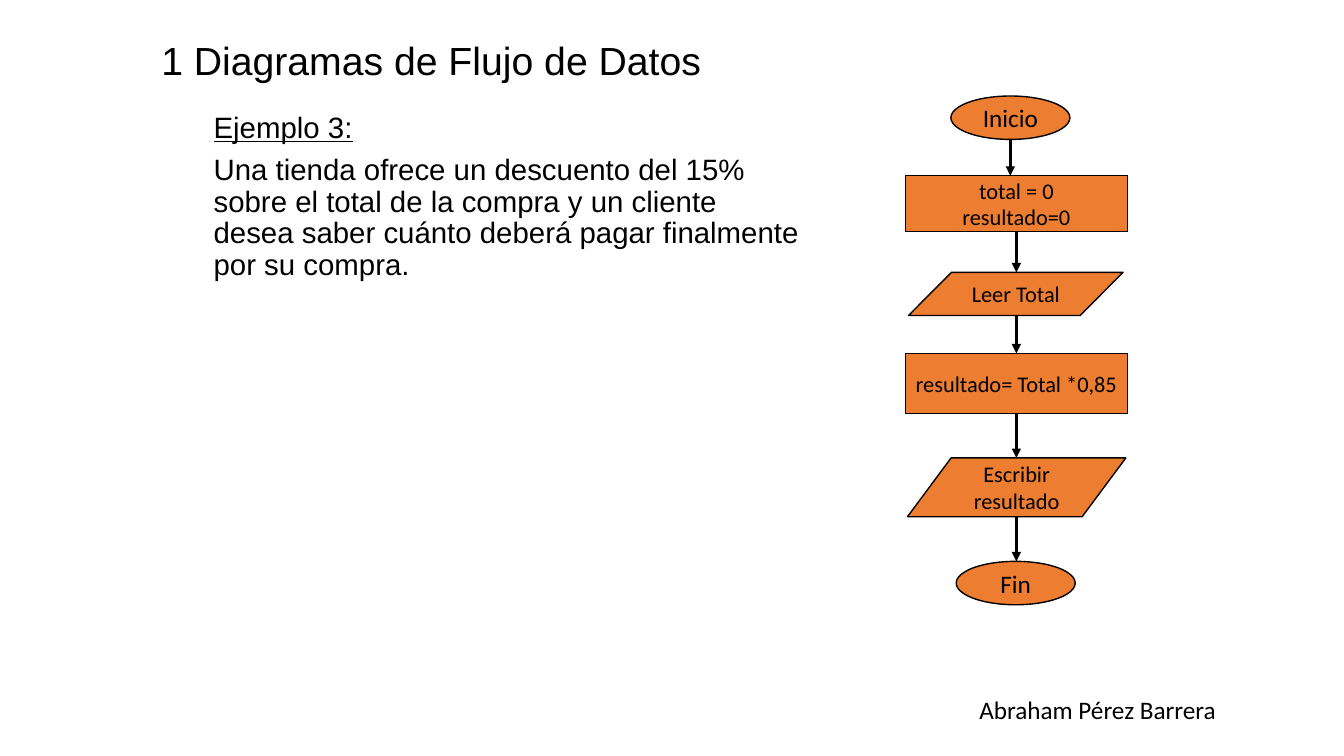
from lxml import etree
from pptx import Presentation
from pptx import util as u
from pptx.dml.color import RGBColor
from pptx.enum import shapes, text
from pptx.oxml.ns import qn

COLORS = {"ink": "000000", "box": "ED7D31", "paper": "FFFFFF"}
KIND = shapes.MSO_SHAPE
ALIGN = text.PP_ALIGN
ANCHOR = text.MSO_ANCHOR


class FlowSlide:
    def __init__(self, prs):
        self.s = prs.slides.add_slide(prs.slide_layouts[1])
        fill = self.s.background.fill
        fill.solid()
        fill.fore_color.rgb = self.color("paper")

    def color(self, name):
        return RGBColor.from_string(COLORS[name])

    def place(self, sp, box):
        for name, value in zip(("left", "top", "width", "height"), box):
            setattr(sp, name, u.Pt(value))

    def set_text(self, sp, lines, font, para, anchor):
        tf = sp.text_frame
        frame = {"word_wrap": True, "auto_size": text.MSO_AUTO_SIZE.NONE,
                 "vertical_anchor": anchor}
        for name, value in frame.items():
            setattr(tf, name, value)
        for i, line in enumerate(lines):
            p = tf.paragraphs[0] if i == 0 else tf.add_paragraph()
            for name, value in para.items():
                setattr(p, name, value)
            r = p.add_run()
            r.text = line
            for name, value in font.items():
                setattr(r.font, name, value)
            r.font.color.rgb = self.color("ink")
        return tf

    def title(self, line, box):
        sp = self.s.shapes.title
        self.place(sp, box)
        self.set_text(sp, [line], {"name": "Arial", "size": u.Pt(28)},
                      {"alignment": ALIGN.LEFT, "line_spacing": 0.9}, ANCHOR.MIDDLE)

    def body(self, lines, box):
        sp = self.s.placeholders[1]
        self.place(sp, box)
        tf = self.set_text(sp, lines, {"name": "Arial", "size": u.Pt(21)},
                           {"alignment": ALIGN.LEFT, "line_spacing": 0.9,
                            "space_before": u.Pt(7.5)}, ANCHOR.TOP)
        for p in tf.paragraphs:
            pPr = p._p.get_or_add_pPr()
            pPr.set("marL", "0")
            pPr.set("indent", "0")
            etree.SubElement(pPr, qn("a:buNone"))
        tf.paragraphs[0].runs[0].font.underline = True

    def label(self, line, box):
        sp = self.s.shapes.add_textbox(*map(u.Pt, box))
        self.set_text(sp, [line], {"name": "Calibri", "size": u.Pt(18)},
                      {"alignment": ALIGN.RIGHT}, ANCHOR.TOP)

    def node(self, kind, lines, size, box):
        sp = self.s.shapes.add_shape(kind, *map(u.Pt, box))
        sp.shadow.inherit = False
        sp.fill.solid()
        sp.fill.fore_color.rgb = self.color("box")
        sp.line.color.rgb = self.color("ink")
        sp.line.width = u.Pt(1)
        self.set_text(sp, lines, {"name": "Calibri", "size": u.Pt(size)},
                      {"alignment": ALIGN.CENTER}, ANCHOR.MIDDLE)
        return sp

    def arrow(self, x, above, below, joined):
        c = self.s.shapes.add_connector(
            shapes.MSO_CONNECTOR.STRAIGHT, u.Pt(x), above.top + above.height,
            u.Pt(x), below.top)
        if joined and above.auto_shape_type == KIND.FLOWCHART_PROCESS:
            c.begin_connect(above, 2)
        if joined and below.auto_shape_type == KIND.FLOWCHART_PROCESS:
            c.end_connect(below, 0)
        c.line.color.rgb = self.color("ink")
        c.line.width = u.Pt(2.25)
        ln = c._element.spPr.find(qn("a:ln"))
        etree.SubElement(ln, qn("a:tailEnd"), type="triangle")
        etree.SubElement(c._element.spPr, qn("a:effectLst"))


def main():
    prs = Presentation()
    prs.slide_width, prs.slide_height = u.Pt(960), u.Pt(540)
    slide = FlowSlide(prs)
    slide.label("Abraham Pérez Barrera", (530.6, 492.5, 345, 29))
    slide.body(["Ejemplo 3:",
                "Una tienda ofrece un descuento del 15% sobre el total de la compra "
                "y un cliente desea saber cuánto deberá pagar finalmente por su compra."],
               (145.4, 77, 436.3, 351.4))

    steps = [
        (KIND.OVAL, ["Inicio"], 18, (679.2, 68.6, 85, 31)),
        (KIND.FLOWCHART_PROCESS, ["total = 0", "resultado=0"], 16, (646.8, 125.5, 158.4, 39.8)),
        (KIND.FLOWCHART_DATA, ["Leer Total"], 16, (649, 194.5, 153.2, 30.8)),
        (KIND.FLOWCHART_PROCESS, ["resultado= Total *0,85"], 16, (646.8, 252.4, 158.4, 43)),
        (KIND.FLOWCHART_DATA, ["Escribir resultado"], 16, (648.2, 327.1, 156, 42)),
        (KIND.OVAL, ["Fin"], 18, (683, 401, 85, 31)),
    ]
    nodes = [slide.node(*step) for step in steps]
    for i, (above, below) in enumerate(zip(nodes, nodes[1:])):
        slide.arrow(726 if i else 721.7, above, below, joined=i > 0)

    slide.title("1 Diagramas de Flujo de Datos", (108, 25.2, 653, 39.6))
    prs.save("out.pptx")


if __name__ == "__main__":
    main()
